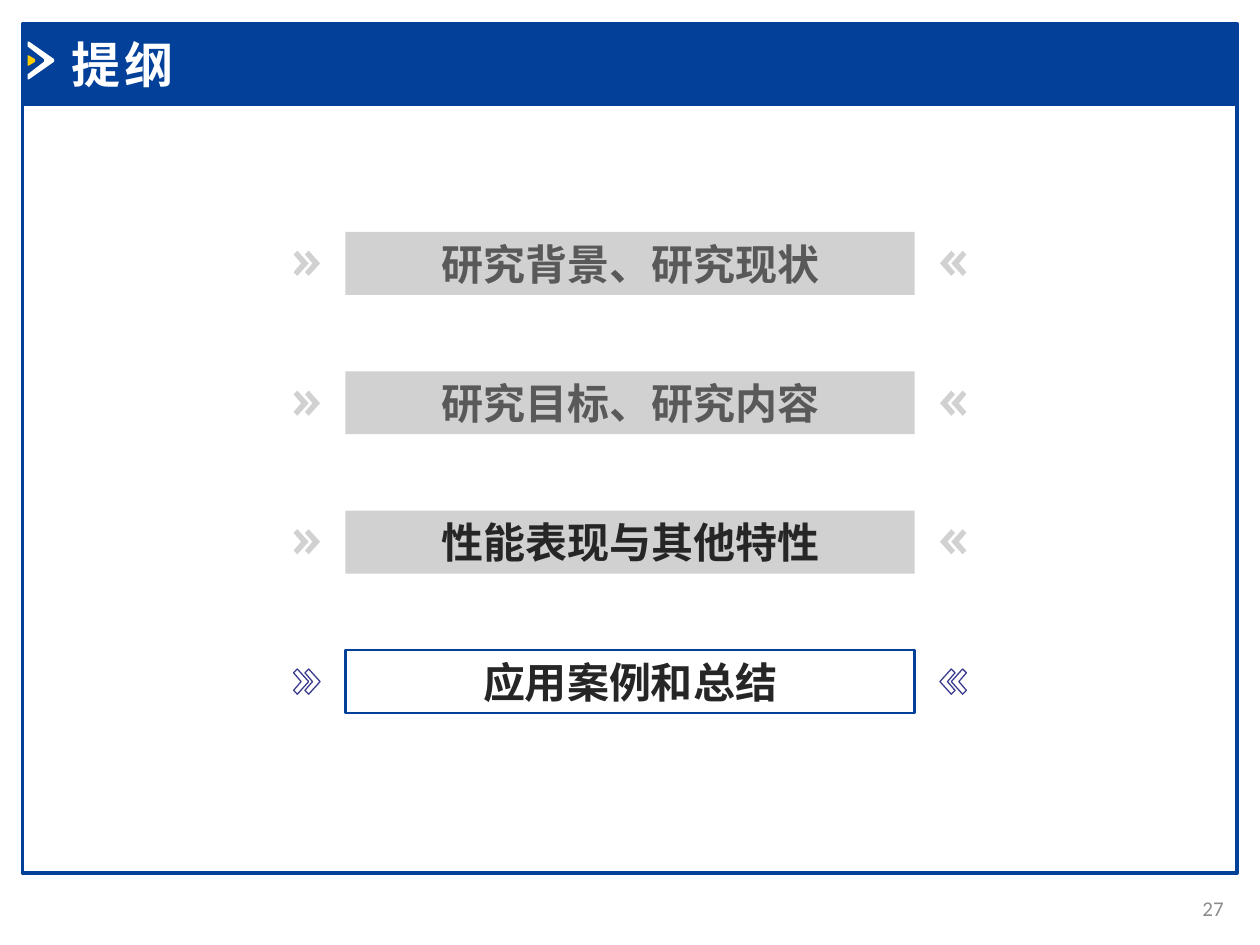
from lxml.etree import SubElement
from pptx import Presentation
from pptx.dml.color import RGBColor
from pptx.enum.shapes import MSO_SHAPE
from pptx.enum.text import MSO_ANCHOR, PP_ALIGN
from pptx.oxml.ns import qn
from pptx.util import Inches, Pt

COLORS = {"blue": "02409A", "indigo": "3C3C8E", "grey": "A5A5A5", "white": "FFFFFF",
          "yellow": "FFCC00", "muted": "595959", "dark": "262626", "number": "8C8C8C"}
WIDTH, HEIGHT = 10, 7.5
UNITS = 100  # freeform units per inch
CJK_FONT = "Noto Sans CJK SC"


def paint(shape, fill=None, line=None, weight=1, alpha=None):
    shape.shadow.inherit = False
    if fill:
        shape.fill.solid()
        shape.fill.fore_color.rgb = RGBColor.from_string(COLORS[fill])
        if alpha:
            color = shape.fill._xPr.find(qn("a:solidFill"))[0]
            SubElement(color, qn("a:alpha"), val=str(alpha * 1000))
    else:
        shape.fill.background()
    if line:
        shape.line.color.rgb = RGBColor.from_string(COLORS[line])
        shape.line.width = Pt(weight)
    else:
        shape.line.fill.background()


def write(shape, text, size, color, font=CJK_FONT, bold=True, align=PP_ALIGN.CENTER):
    frame = shape.text_frame
    frame.word_wrap = True
    frame.vertical_anchor = MSO_ANCHOR.MIDDLE
    para = frame.paragraphs[0]
    para.alignment = align
    span = para.add_run()
    span.text = text
    span.font.name = font
    span.font.size = Pt(size)
    span.font.bold = bold
    span.font.color.rgb = RGBColor.from_string(COLORS[color])
    SubElement(span.font._element, qn("a:ea"), typeface=CJK_FONT)
    return span


deck = Presentation()
deck.slide_width, deck.slide_height = Inches(WIDTH), Inches(HEIGHT)
page = deck.slides.add_slide(deck.slide_layouts[5])
shapes = page.shapes

# Page frame and header band
margin, band_top, band_height = 0.18, 0.19, 0.64
for top, height, fill in ((band_top + band_height, 6.1, None), (band_top, band_height, "blue")):
    frame_part = shapes.add_shape(MSO_SHAPE.RECTANGLE, Inches(margin), Inches(top),
                                  Inches(WIDTH - 2 * margin), Inches(height))
    paint(frame_part, fill, "blue", 2)

# Header marker: a white chevron around a yellow triangle
markers = (
    ("white", [(22, 33), (23, 33), (43, 47), (43, 49), (23, 63), (22, 63),
               (22, 59), (35, 49), (35, 47), (22, 37)]),
    ("yellow", [(22, 44), (23, 44), (28, 47), (28, 49), (23, 52), (22, 52)]),
)
for color, points in markers:
    builder = shapes.build_freeform(*points[0], scale=Inches(1) / UNITS)
    builder.add_line_segments(points[1:])
    paint(builder.convert_to_shape(), color)

# Outline entries, each flanked by mirrored double chevrons
entries = (("研究背景、研究现状", "muted"), ("研究目标、研究内容", "muted"),
           ("性能表现与其他特性", "dark"), ("应用案例和总结", "dark"))
entry_width, entry_height = 4.52, 0.5
first_top, pitch = 1.84, 3.32 / 3
chevron = [(3, 0), (0, 3), (6, 10), (0, 17), (3, 20), (12, 10)]
for row, (text, color) in enumerate(entries):
    top = first_top + row * pitch
    current = row == len(entries) - 1
    fill = None if current else "grey"
    entry = shapes.add_shape(MSO_SHAPE.RECTANGLE, Inches((WIDTH - entry_width) / 2),
                             Inches(top), Inches(entry_width), Inches(entry_height))
    paint(entry, fill, "blue" if current else None, 1.5, alpha=50)
    write(entry, text, 24, color)
    chevron_top = round((top + 0.15) * UNITS)
    for mirrored in (False, True):
        for left in (233, 242):
            points = [(WIDTH * UNITS - left - x if mirrored else left + x, chevron_top + y)
                      for x, y in chevron]
            builder = shapes.build_freeform(*points[0], scale=Inches(1) / UNITS)
            builder.add_line_segments(points[1:])
            paint(builder.convert_to_shape(), fill, "indigo" if current else None, 0.75, alpha=50)

# Title, brought in front of the header band
title = shapes.title
title.left, title.top, title.width, title.height = map(Inches, (0.47, 0.22, 3.56, 0.57))
title_span = write(title, "提纲", 28, "white", "Calibri", align=PP_ALIGN.LEFT)
title_span.font._element.set("spc", "200")
title.element.getparent().append(title.element)

number = shapes.add_textbox(Inches(9.22), Inches(7.01), Inches(0.59), Inches(0.4))
write(number, "27", 12, "number", "Calibri", bold=False, align=PP_ALIGN.RIGHT)

deck.save("out.pptx")
